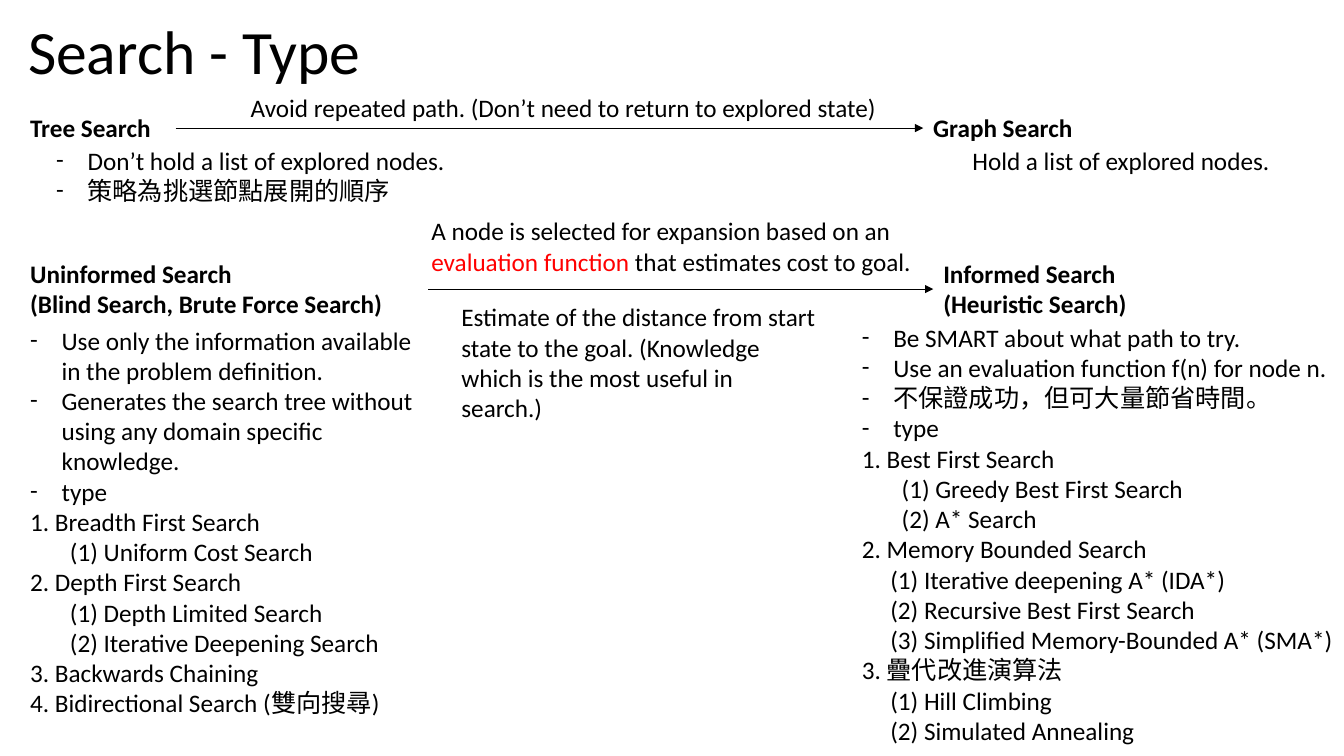
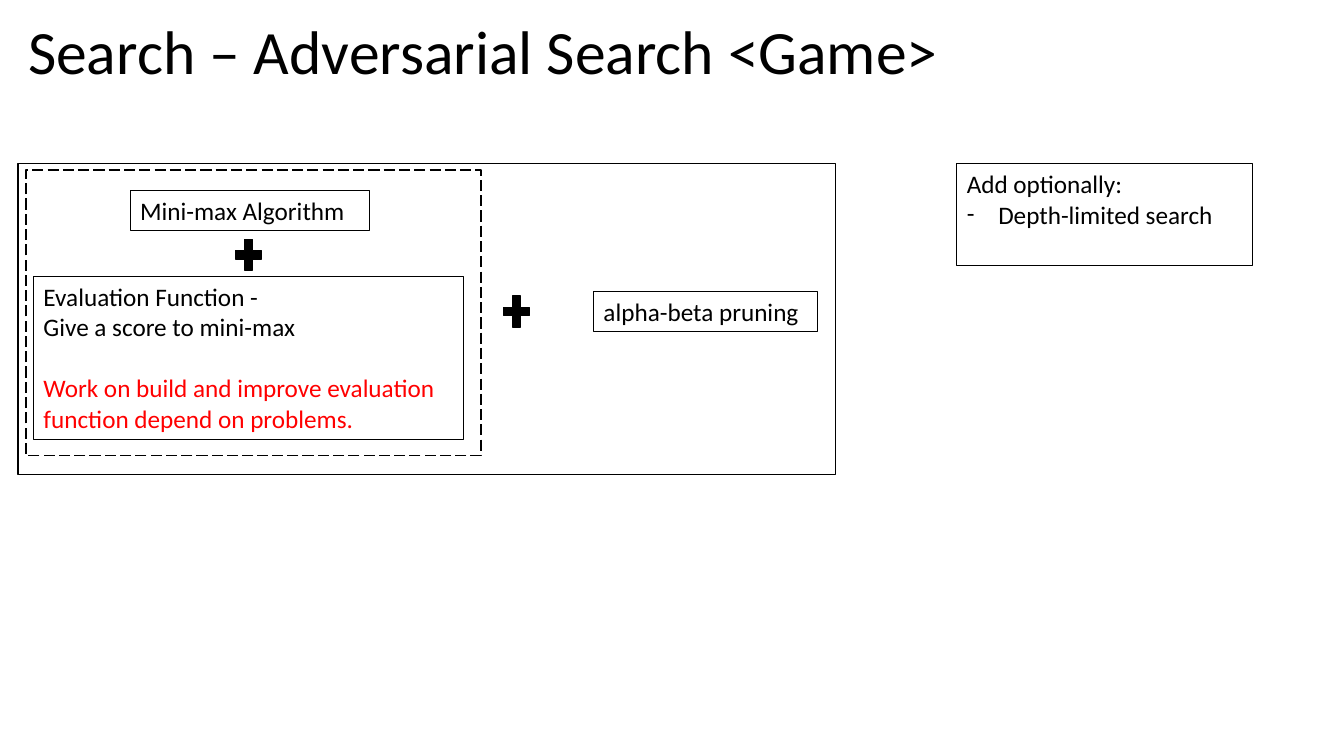
import dataclasses

import pptx
import pptx.dml.color
import pptx.enum.dml
import pptx.enum.shapes
import pptx.enum.text
import pptx.oxml
import pptx.oxml.ns
import pptx.util

Pt = pptx.util.Pt
SHAPE = pptx.enum.shapes.MSO_SHAPE
ANCHOR = pptx.enum.text.MSO_ANCHOR

BLACK = pptx.dml.color.RGBColor(0x00, 0x00, 0x00)
RED = pptx.dml.color.RGBColor(0xFF, 0x00, 0x00)
FONT = "Calibri"
BODY_SIZE = 18
TITLE_SIZE = 44
BULLET_INDENT = 22.5
LEFT = 14.4


@dataclasses.dataclass
class Para:
    """One paragraph; spans are (text, colour) pairs."""
    spans: list
    bullet: bool = False
    indent: float = 0
    space_before: float = 0


def plain(*lines, colour=BLACK, **options):
    return [Para([(line, colour)], **options) for line in lines]


def bullets(*lines):
    return plain(*lines, bullet=True, indent=BULLET_INDENT)


def subitems(*lines, indent=28.5):
    return plain(*lines, indent=indent)


def add_xml(parent, tag, **attributes):
    child = pptx.oxml.parse_xml(f"<a:{tag} {pptx.oxml.ns.nsdecls('a')}/>")
    for key, value in attributes.items():
        child.set(key, value)
    parent.append(child)


class Deck:
    def __init__(self):
        self.presentation = pptx.Presentation()
        self.presentation.slide_width = Pt(960)
        self.presentation.slide_height = Pt(540)
        self.slide = None

    def new_slide(self, title):
        blank = self.presentation.slide_layouts[6]
        self.slide = self.presentation.slides.add_slide(blank)
        heading = self.text(13, 10, 930, 58, plain(title), size=TITLE_SIZE)
        heading.text_frame.vertical_anchor = ANCHOR.MIDDLE
        heading.text_frame.paragraphs[0].line_spacing = 0.9

    def text(self, left, top, width, height, paras, size=BODY_SIZE, bold=False):
        area = self.slide.shapes.add_textbox(Pt(left), Pt(top), Pt(width), Pt(height))
        self.fill_text(area.text_frame, paras, size, bold)
        return area

    def fill_text(self, frame, paras, size=BODY_SIZE, bold=False):
        frame.word_wrap = True
        frame.vertical_anchor = ANCHOR.TOP
        for index, para in enumerate(paras):
            paragraph = frame.paragraphs[0] if index == 0 else frame.add_paragraph()
            paragraph.alignment = pptx.enum.text.PP_ALIGN.LEFT
            if para.space_before:
                paragraph.space_before = Pt(para.space_before)
            properties = paragraph._p.get_or_add_pPr()
            if para.indent:
                properties.set("marL", str(Pt(para.indent)))
            if para.bullet:
                properties.set("indent", str(-Pt(para.indent)))
                add_xml(properties, "buFont", typeface=FONT)
                add_xml(properties, "buChar", char="-")
            paragraph.font.name = FONT
            paragraph.font.size = Pt(size)
            paragraph.font.bold = bold
            one_colour = len({colour for _, colour in para.spans}) == 1
            if one_colour:
                paragraph.font.color.rgb = para.spans[0][1]
            for words, colour in para.spans:
                run = paragraph.add_run()
                run.text = words
                if not one_colour:
                    run.font.color.rgb = colour

    def shape(self, kind, left, top, width, height, weight=1.0, fill=None):
        shape = self.slide.shapes.add_shape(kind, Pt(left), Pt(top), Pt(width), Pt(height))
        shape.shadow.inherit = False
        if fill is None:
            shape.fill.background()
        else:
            shape.fill.solid()
            shape.fill.fore_color.rgb = fill
        shape.line.color.rgb = BLACK
        shape.line.width = Pt(weight)
        return shape

    def box(self, left, top, width, height, paras):
        """Thin outlined rectangle holding text."""
        outline = self.shape(SHAPE.RECTANGLE, left, top, width, height, weight=0.75)
        self.fill_text(outline.text_frame, paras)

    def plus(self, left, top):
        self.shape(SHAPE.MATH_PLUS, left, top, 25, 30, fill=BLACK)

    def arrow(self, source, target):
        """Arrow from the right side of source to the left side of target."""
        connector = self.slide.shapes.add_connector(
            pptx.enum.shapes.MSO_CONNECTOR.STRAIGHT, 0, 0, 0, 0)
        connector.begin_connect(source, 3)
        connector.end_connect(target, 1)
        connector.line.color.rgb = BLACK
        connector.line.width = Pt(0.5)
        add_xml(connector.line._get_or_add_ln(), "tailEnd", type="triangle")
        add_xml(connector._element.spPr, "effectLst")


def search_types(deck):
    deck.new_slide("Search - Type")

    tree = deck.text(LEFT, 77, 111, 29, plain("Tree Search"), bold=True)
    graph = deck.text(659.5, 77, 124, 29, plain("Graph Search"), bold=True)
    deck.arrow(tree, graph)
    deck.text(172, 62.5, 477, 29,
              plain("Avoid repeated path. (Don’t need to return to explored state)"))
    deck.text(33, 100, 296, 51, bullets(
        "Don’t hold a list of explored nodes.", "策略為挑選節點展開的順序"))
    deck.text(687.5, 100, 241, 29, plain("Hold a list of explored nodes."))

    uninformed = deck.text(LEFT, 181, 291.6, 51, plain(
        "Uninformed Search", "(Blind Search, Brute Force Search)"), bold=True)
    informed = deck.text(666.7, 181, 246, 51, plain(
        "Informed Search", "(Heuristic Search)"), bold=True)
    deck.arrow(uninformed, informed)
    deck.text(301, 150.5, 366, 51, [Para([
        ("A node is selected for expansion based on an ", BLACK),
        ("evaluation function ", RED),
        ("that estimates cost to goal.", BLACK)])])
    deck.text(322.5, 212, 268.5, 73, plain(
        "Estimate of the distance from start state to the goal. "
        "(Knowledge which is the most useful in search.)"))

    deck.text(LEFT, 228.5, 291.6, 291, [
        *bullets("Use only the information available in the problem definition.",
                 "Generates the search tree without using any domain specific knowledge.",
                 "type"),
        *plain("1. Breadth First Search"),
        *subitems("(1) Uniform Cost Search"),
        *plain("2. Depth First Search"),
        *subitems("(1) Depth Limited Search", "(2) Iterative Deepening Search"),
        *plain("3. Backwards Chaining", "4. Bidirectional Search (雙向搜尋)")])
    deck.text(608.5, 226.5, 352, 312.5, [
        *bullets("Be SMART about what path to try.",
                 "Use an evaluation function f(n) for node n.",
                 "不保證成功，但可大量節省時間。",
                 "type"),
        *plain("1. Best First Search"),
        *subitems("(1) Greedy Best First Search", "(2) A* Search"),
        *plain("2. Memory Bounded Search"),
        *subitems("(1) Iterative deepening A* (IDA*)",
                  "(2) Recursive Best First Search",
                  "(3) Simplified Memory-Bounded A* (SMA*)", indent=20.4),
        *plain("3. 疊代改進演算法"),
        *subitems("(1) Hill Climbing", "(2) Simulated Annealing", indent=20.4)])


def adversarial_search(deck):
    deck.new_slide("Search – Adversarial Search <Game>")
    deck.box(93, 136, 171, 29, plain("Mini-max Algorithm"))
    deck.box(24, 197.5, 307, 116.5, [
        *plain("Evaluation Function -", "Give a score to mini-max"),
        *plain("Work on build and improve evaluation function depend on problems.",
               colour=RED, space_before=22)])
    deck.box(424, 208, 160, 29, plain("alpha-beta pruning"))
    deck.shape(SHAPE.RECTANGLE, 13, 117, 584, 222)
    deck.box(683.5, 117, 211, 73, [
        *plain("Add optionally:"), *bullets("Depth-limited search")])
    deck.plus(165, 167)
    deck.plus(356.5, 207.5)
    minimax_group = deck.shape(SHAPE.RECTANGLE, 18.5, 121.5, 325, 204)
    minimax_group.line.dash_style = pptx.enum.dml.MSO_LINE.LONG_DASH


def main():
    deck = Deck()
    search_types(deck)
    adversarial_search(deck)
    deck.presentation.save("out.pptx")


if __name__ == "__main__":
    main()
